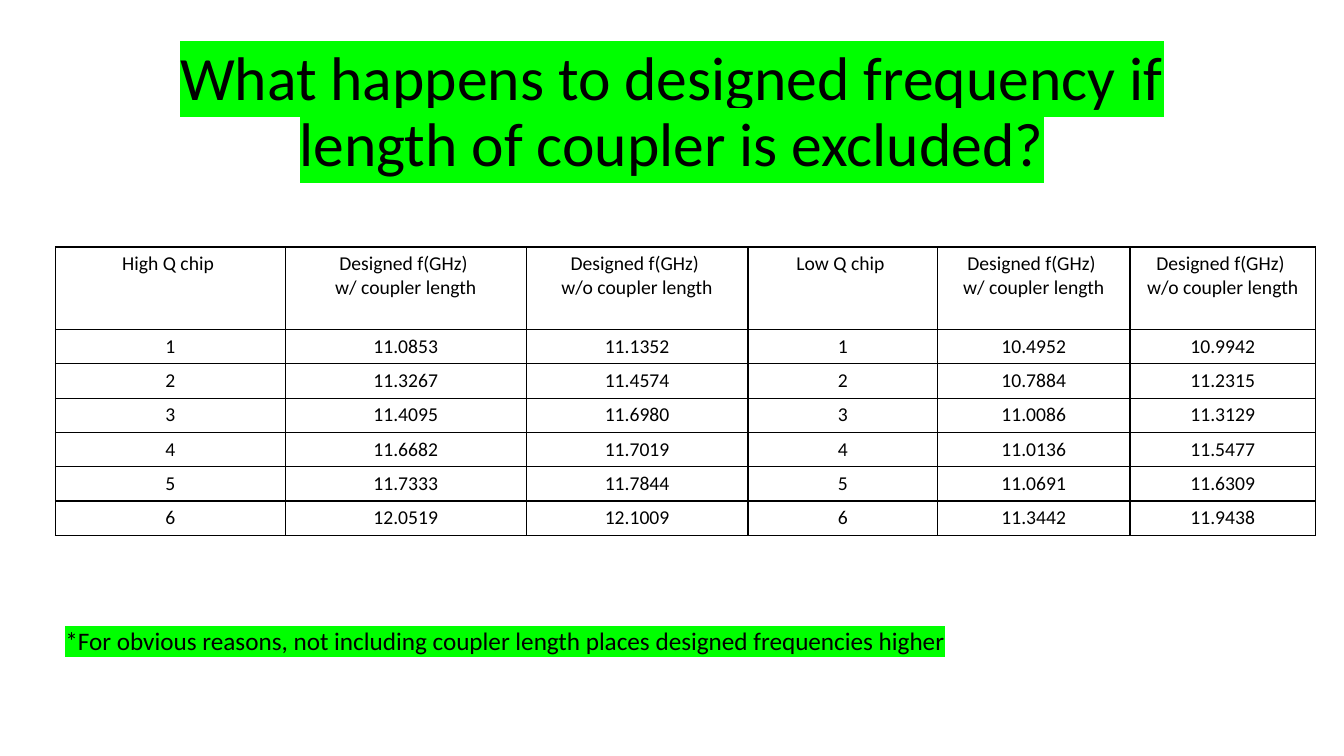
from lxml.etree import SubElement
from pptx import Presentation
from pptx.dml.color import RGBColor
from pptx.enum.text import MSO_ANCHOR as Anchor, PP_ALIGN as Align
from pptx.oxml.ns import qn
from pptx.util import Pt

BLACK = "000000"
GREEN = "00FF00"

WITH_COUPLER = ["Designed f(GHz) ", "w/ coupler length"]
WITHOUT_COUPLER = ["Designed f(GHz) ", "w/o coupler length"]
HEADER = [
    ["High Q chip "], WITH_COUPLER, WITHOUT_COUPLER,
    ["Low Q chip "], WITH_COUPLER, WITHOUT_COUPLER,
]
HIGH_Q = [
    ("11.0853", "11.1352"),
    ("11.3267", "11.4574"),
    ("11.4095", "11.6980"),
    ("11.6682", "11.7019"),
    ("11.7333", "11.7844"),
    ("12.0519", "12.1009"),
]
LOW_Q = [
    ("10.4952", "10.9942"),
    ("10.7884", "11.2315"),
    ("11.0086", "11.3129"),
    ("11.0136", "11.5477"),
    ("11.0691", "11.6309"),
    ("11.3442", "11.9438"),
]
COLUMN_WIDTHS = [164.2, 172.1, 158.4, 135.4, 137.5, 132.5]
HEADER_HEIGHT = 59
ROW_HEIGHT = 24.5


def color(value):
    return RGBColor.from_string(value)


def add_span(para, text, size):
    span = para.add_run()
    span.text = text
    span.font.size = Pt(size)
    span.font.color.rgb = color(BLACK)
    span.font.name = "Calibri"
    return span


def highlight(span, value):
    mark = SubElement(span.font._element, qn("a:highlight"))
    SubElement(mark, qn("a:srgbClr"), val=value)
    span.font._element.find(qn("a:solidFill")).addnext(mark)


def add_highlighted_text(page, text, size, left, top, width, height):
    box = page.shapes.add_textbox(Pt(left), Pt(top), Pt(width), Pt(height))
    box.text_frame.word_wrap = True
    para = box.text_frame.paragraphs[0]
    highlight(add_span(para, text, size), GREEN)
    return box.text_frame


def add_borders(cell):
    properties = cell._tc.get_or_add_tcPr()
    for side in ("L", "R", "T", "B"):
        line = SubElement(properties, qn(f"a:ln{side}"), w=str(Pt(1)))
        fill = SubElement(line, qn("a:solidFill"))
        SubElement(fill, qn("a:srgbClr"), val=BLACK)


def fill_cell(cell, lines):
    add_borders(cell)
    cell.fill.background()
    frame = cell.text_frame
    for index, text in enumerate(lines):
        para = frame.add_paragraph() if index else frame.paragraphs[0]
        para.alignment = Align.CENTER
        add_span(para, text, 14)


def add_frequency_table(page, left, top):
    rows = [HEADER]
    for number, (high, low) in enumerate(zip(HIGH_Q, LOW_Q), 1):
        rows.append([[text] for text in (str(number), *high, str(number), *low)])
    height = HEADER_HEIGHT + ROW_HEIGHT * (len(rows) - 1)
    table = page.shapes.add_table(
        len(rows), len(COLUMN_WIDTHS),
        Pt(left), Pt(top), Pt(sum(COLUMN_WIDTHS)), Pt(height),
    ).table
    table.first_row = False
    table.horz_banding = False
    for column, width in zip(table.columns, COLUMN_WIDTHS):
        column.width = Pt(width)
    for index, (row, contents) in enumerate(zip(table.rows, rows)):
        row.height = Pt(ROW_HEIGHT if index else HEADER_HEIGHT)
        for cell, lines in zip(row.cells, contents):
            fill_cell(cell, lines)


def main():
    deck = Presentation()
    deck.slide_width, deck.slide_height = Pt(960), Pt(540)
    page = deck.slides.add_slide(deck.slide_layouts[6])

    title = add_highlighted_text(
        page,
        "What happens to designed frequency if length of coupler is excluded?",
        44, 66, 28.8, 828, 104.4,
    )
    title.vertical_anchor = Anchor.MIDDLE
    title.paragraphs[0].alignment = Align.CENTER
    title.paragraphs[0].line_spacing = 0.9

    add_frequency_table(page, 39.6, 176.4)
    add_highlighted_text(
        page,
        "*For obvious reasons, not including coupler length places designed frequencies higher",
        18, 39.6, 442.8, 784.8, 28.8,
    )
    deck.save("out.pptx")


if __name__ == "__main__":
    main()
